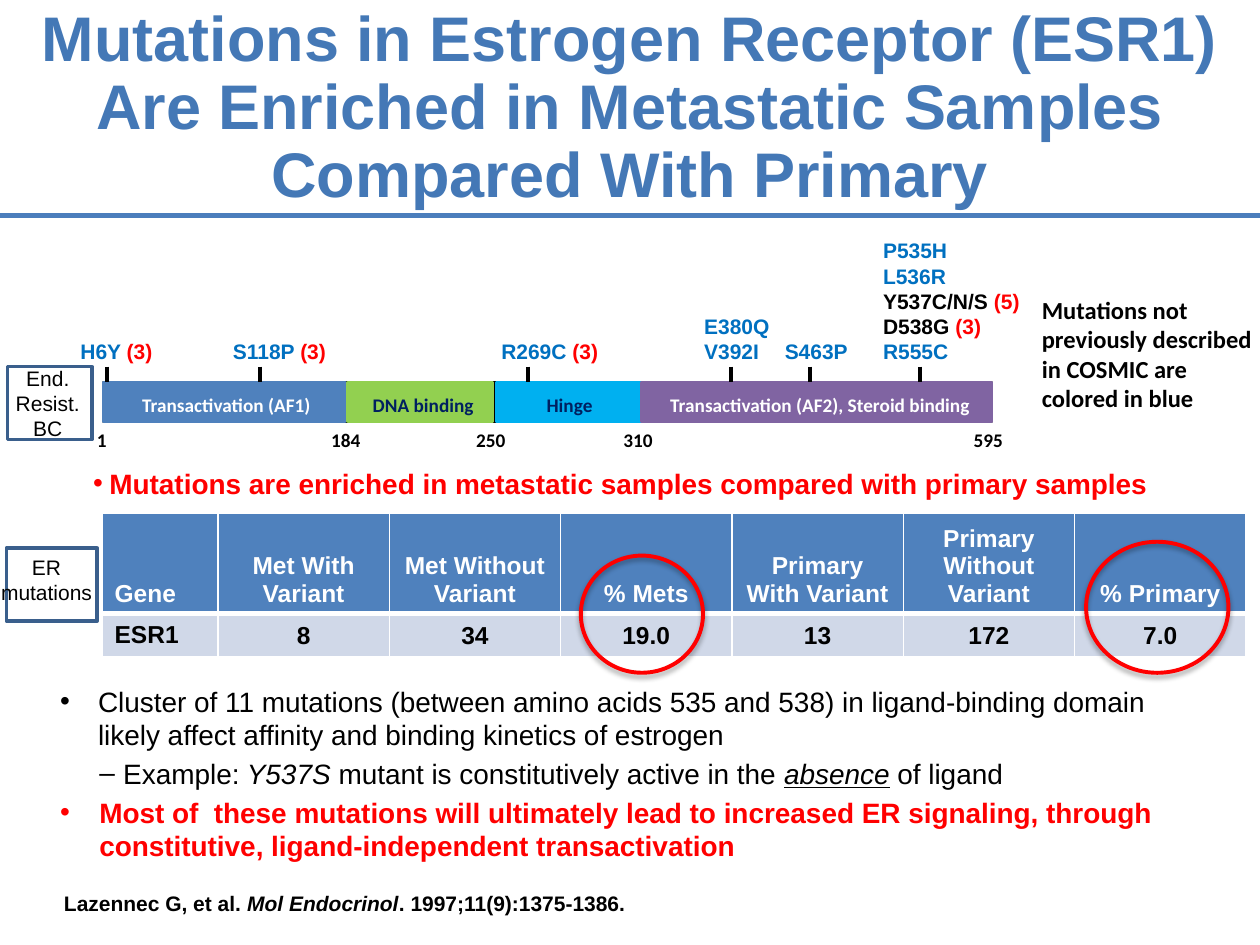
import pptx
import pptx.util
from pptx.dml.color import RGBColor
from pptx.enum.shapes import MSO_CONNECTOR, MSO_SHAPE
from pptx.enum.text import MSO_ANCHOR, MSO_AUTO_SIZE, PP_ALIGN
from pptx.oxml import parse_xml
from pptx.oxml.ns import nsdecls
from pptx.util import Inches, Pt

BLACK = RGBColor(0x00, 0x00, 0x00)
WHITE = RGBColor(0xFF, 0xFF, 0xFF)
RED = RGBColor(0xFF, 0x00, 0x00)
TITLE_BLUE = RGBColor(0x44, 0x78, 0xB6)
RULE_BLUE = RGBColor(0x4B, 0x7E, 0xBC)
MUTATION_BLUE = RGBColor(0x00, 0x70, 0xC0)
AF1_BLUE = RGBColor(0x4F, 0x81, 0xBD)
DNA_GREEN = RGBColor(0x92, 0xD0, 0x50)
HINGE_CYAN = RGBColor(0x00, 0xB0, 0xF0)
AF2_PURPLE = RGBColor(0x80, 0x64, 0xA2)
NAVY = RGBColor(0x00, 0x20, 0x60)
FRAME_BLUE = RGBColor(0x3A, 0x5F, 0x8C)
ROW_BLUE = RGBColor(0xD0, 0xD8, 0xE8)

prs = pptx.Presentation()
prs.slide_width, prs.slide_height = Inches(10), Inches(7.5)
s = prs.slides.add_slide(prs.slide_layouts[6])


def write(tf, paragraphs, size=12, font="Arial", color=BLACK, bold=True,
          align=PP_ALIGN.LEFT, spacing=None, before=0, bullets=()):
    """Fill a text frame; a paragraph is a list of (text, font overrides) runs,
    and a bullet is (character, color, left margin, indent)."""
    for i, runs in enumerate(paragraphs):
        p = tf.paragraphs[0] if i == 0 else tf.add_paragraph()
        if bullets:
            mark, mark_color, margin, indent = bullets[i]
            pPr = p._p.get_or_add_pPr()
            pPr.set("marL", str(Inches(margin)))
            pPr.set("indent", str(Inches(indent)))
            pPr.append(parse_xml(f'<a:buClr {nsdecls("a")}><a:srgbClr val="{mark_color}"/></a:buClr>'))
            pPr.append(parse_xml(f'<a:buFont {nsdecls("a")} typeface="Arial"/>'))
            pPr.append(parse_xml(f'<a:buChar {nsdecls("a")} char="{mark}"/>'))
        p.alignment = align
        if spacing:
            p.line_spacing = spacing
        if before and i:
            p.space_before = Pt(before)
        for text, changes in runs:
            r = p.add_run()
            r.text = text
            r.font.name, r.font.size = font, Pt(size)
            r.font.bold = changes.get("bold", bold)
            r.font.italic = changes.get("italic", False)
            r.font.underline = changes.get("underline", False)
            r.font.color.rgb = changes.get("color", color)


def add_text(x, y, w, h, paragraphs, wrap=False, anchor=MSO_ANCHOR.TOP, **fmt):
    tf = s.shapes.add_textbox(Inches(x), Inches(y), Inches(w), Inches(h)).text_frame
    tf.word_wrap = wrap
    tf.auto_size = MSO_AUTO_SIZE.NONE if wrap else MSO_AUTO_SIZE.SHAPE_TO_FIT_TEXT
    tf.vertical_anchor = anchor
    write(tf, paragraphs, **fmt)


# Title
add_text(0, 0.24, 10, 1.25, [[("Mutations in Estrogen Receptor (ESR1) Are Enriched in "
         "Metastatic Samples Compared With Primary", {})]], wrap=True,
         anchor=MSO_ANCHOR.MIDDLE, size=36, color=TITLE_BLUE,
         align=PP_ALIGN.CENTER, spacing=0.9)

# Receptor domains: x, width, fill, label, label x, label width, label color
domains = [
    (0.82, 7.05, BLACK, None, 0, 0, None),
    (0.82, 1.92, AF1_BLUE, "Transactivation (AF1)", 1.03, 1.56, WHITE),
    (2.76, 1.15, DNA_GREEN, "DNA binding", 2.86, 1.01, NAVY),
    (3.94, 1.15, HINGE_CYAN, "Hinge", 4.24, 0.57, NAVY),
    (5.09, 2.78, AF2_PURPLE, "Transactivation (AF2), Steroid binding", 5.22, 2.62, WHITE),
]
for x, w, fill, label, label_x, label_w, label_color in domains:
    sp = s.shapes.add_shape(MSO_SHAPE.RECTANGLE, Inches(x), Inches(3.04), Inches(w), Inches(0.3))
    sp.shadow.inherit = False
    sp.fill.solid()
    sp.fill.fore_color.rgb = fill
    sp.line.color.rgb, sp.line.width = fill, Pt(2)
    if label:
        add_text(label_x, 3.07, label_w, 0.29, [[(label, {})]],
                 size=11, font="Calibri", color=label_color)

for x, w, position in [(0.67, 0.28, "1"), (2.53, 0.44, "184"), (3.68, 0.44, "250"),
                       (4.85, 0.44, "310"), (7.63, 0.44, "595")]:
    add_text(x, 3.35, w, 0.29, [[(position, {})]], size=11, font="Calibri")

# Mutation ticks, then the rule under the title
lines = [(x, 2.91, x, 3.03, BLACK, 2.25) for x in (0.85, 2.06, 4.19, 5.8, 6.43, 7.3)]
lines.append((0, 1.71, 10, 1.71, RULE_BLUE, 3))
for x1, y1, x2, y2, color, width in lines:
    line = s.shapes.add_connector(MSO_CONNECTOR.STRAIGHT, Inches(x1), Inches(y1), Inches(x2), Inches(y2))
    line.line.color.rgb, line.line.width = color, Pt(width)
    line._element.spPr.append(parse_xml(f'<a:effectLst {nsdecls("a")}/>'))

# Mutation names, bottom-aligned above the ticks
black, red = {"color": BLACK}, {"color": RED}
mutations = [
    (0.54, 0.78, [[("H6Y ", {}), ("(3)", red)]]),
    (1.75, 0.95, [[("S118P ", {}), ("(3)", red)]]),
    (3.88, 0.98, [[("R269C ", {}), ("(3)", red)]]),
    (5.49, 0.72, [[("E380Q", {})], [("V392I", {})]]),
    (6.13, 0.71, [[("S463P", {})]]),
    (6.91, 1.29, [[("P535H", {})], [("L536R", {})], [("Y537C/N/S ", black), ("(5)", red)],
                  [("D538G ", black), ("(3)", red)], [("R555C", {})]]),
]
for x, w, names in mutations:
    h = 0.1 + 0.2 * len(names)
    add_text(x, 2.94 - h, w, h, names, color=MUTATION_BLUE)

add_text(8.17, 2.29, 1.95, 1.04, [[("Mutations not previously described in COSMIC "
         "are colored in blue", {})]], wrap=True, size=14, font="Calibri")

# Bullets above and below the table
add_text(0.38, 3.65, 9.23, 0.36, [[("Mutations are enriched in metastatic samples compared "
         "with primary samples", {})]], wrap=True, size=16, color=RED,
         bullets=[("•", RED, 0.39, -0.13)])
add_text(0.38, 5.38, 9.23, 1.55, [
    [("Cluster of 11 mutations (between amino acids 535 and 538) in ligand-binding domain "
      "likely affect affinity and binding kinetics of estrogen", {})],
    [("Example:", {}), (" Y537S ", {"italic": True}),
     ("mutant is constitutively active in the ", {}),
     ("absence", {"italic": True, "underline": True}), (" of ligand", {})],
    [("Most of  these mutations will ultimately lead to increased ER signaling, through "
      "constitutive, ligand-independent transactivation", {"color": RED, "bold": True})],
], wrap=True, size=16, bold=False, before=3,
    bullets=[("•", BLACK, 0.3, -0.3), ("–", BLACK, 0.5, -0.19), ("•", RED, 0.31, -0.31)])

# Variant table
rows = [
    ["Gene", "Met With Variant", "Met Without Variant", "% Mets",
     "Primary With Variant", "Primary Without Variant", "% Primary"],
    ["ESR1", "8", "34", "19.0", "13", "172", "7.0"],
]
table = s.shapes.add_table(2, 7, Inches(0.81), Inches(4.07), Inches(9.08), Inches(1.13)).table
for i, column in enumerate(table.columns):
    column.width = Inches(1.36 if i else 0.92)
table.rows[0].height, table.rows[1].height = Inches(0.79), Inches(0.34)
for i, values in enumerate(rows):
    for j, value in enumerate(values):
        cell = table.cell(i, j)
        tcPr = cell._tc.get_or_add_tcPr()
        for side in ("lnL", "lnR", "lnT", "lnB"):
            heavy = side == ("lnT" if i else "lnB")
            tcPr.append(parse_xml(
                f'<a:{side} {nsdecls("a")} w="{Pt(3 if heavy else 1)}"><a:solidFill>'
                f'<a:srgbClr val="{WHITE}"/></a:solidFill></a:{side}>'))
        cell.fill.solid()
        cell.fill.fore_color.rgb = ROW_BLUE if i else AF1_BLUE
        cell.vertical_anchor = MSO_ANCHOR.MIDDLE if i else MSO_ANCHOR.BOTTOM
        if i and j:
            cell.margin_left = cell.margin_right = cell.margin_top = Inches(0.01)
            cell.margin_bottom = 0
        write(cell.text_frame, [[(value, {})]], size=14, color=BLACK if i else WHITE,
              align=PP_ALIGN.CENTER if j else PP_ALIGN.LEFT)

# Outlines: circled percentages and side-label frames
for shape, x, y, w, h, color, width in [
        (MSO_SHAPE.OVAL, 4.61, 4.41, 0.97, 0.93, RED, 2.25),
        (MSO_SHAPE.OVAL, 8.62, 4.3, 1.13, 1.04, RED, 2.25),
        (MSO_SHAPE.RECTANGLE, 0.06, 2.91, 0.67, 0.58, FRAME_BLUE, 2),
        (MSO_SHAPE.RECTANGLE, 0.05, 4.35, 0.72, 0.58, FRAME_BLUE, 2)]:
    sp = s.shapes.add_shape(shape, Inches(x), Inches(y), Inches(w), Inches(h))
    sp.shadow.inherit = False
    sp.fill.background()
    sp.line.color.rgb, sp.line.width = color, Pt(width)
    if shape == MSO_SHAPE.OVAL:
        sp._element.spPr.find(pptx.oxml.ns.qn("a:effectLst")).append(parse_xml(
            f'<a:outerShdw {nsdecls("a")} blurRad="{Pt(3.1)}" dist="{Pt(1.8)}" dir="5400000" '
            f'rotWithShape="0"><a:srgbClr val="{BLACK}"><a:alpha val="35000"/></a:srgbClr></a:outerShdw>'))

for x, y, w, h, words in [(0, 2.85, 0.76, 0.71, ["End.", "Resist.", "BC"]),
                          (-0.13, 4.35, 1, 0.5, ["ER", "mutations"])]:
    add_text(x, y, w, h, [[(word, {})] for word in words], bold=False, align=PP_ALIGN.CENTER)

# Citation
add_text(0.41, 7.02, 9.5, 0.3, [[("Lazennec G, et al. ", {}), ("Mol Endocrinol", {"italic": True}),
         (". 1997;11(9):1375-1386.", {})]], wrap=True)

prs.save("out.pptx")
